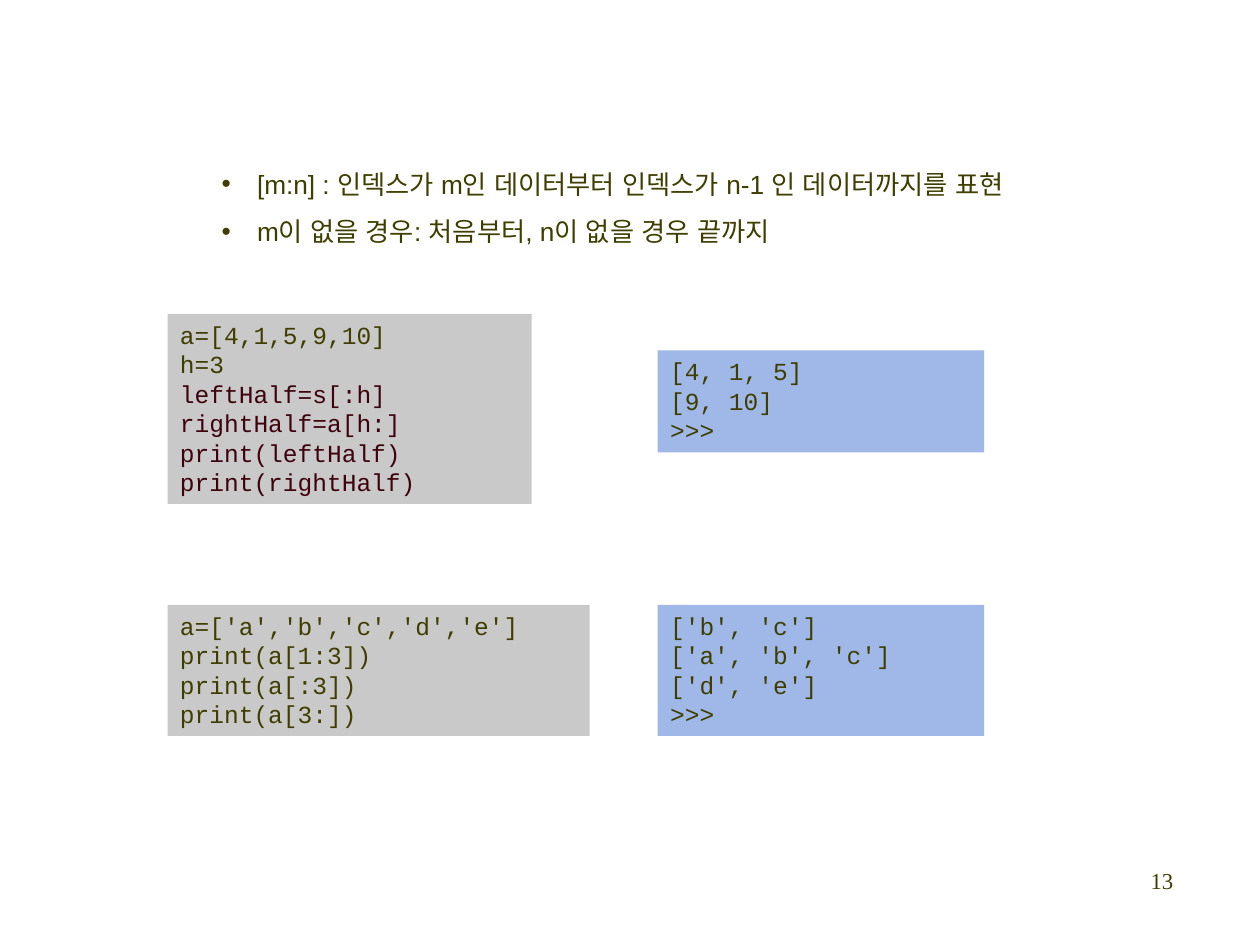
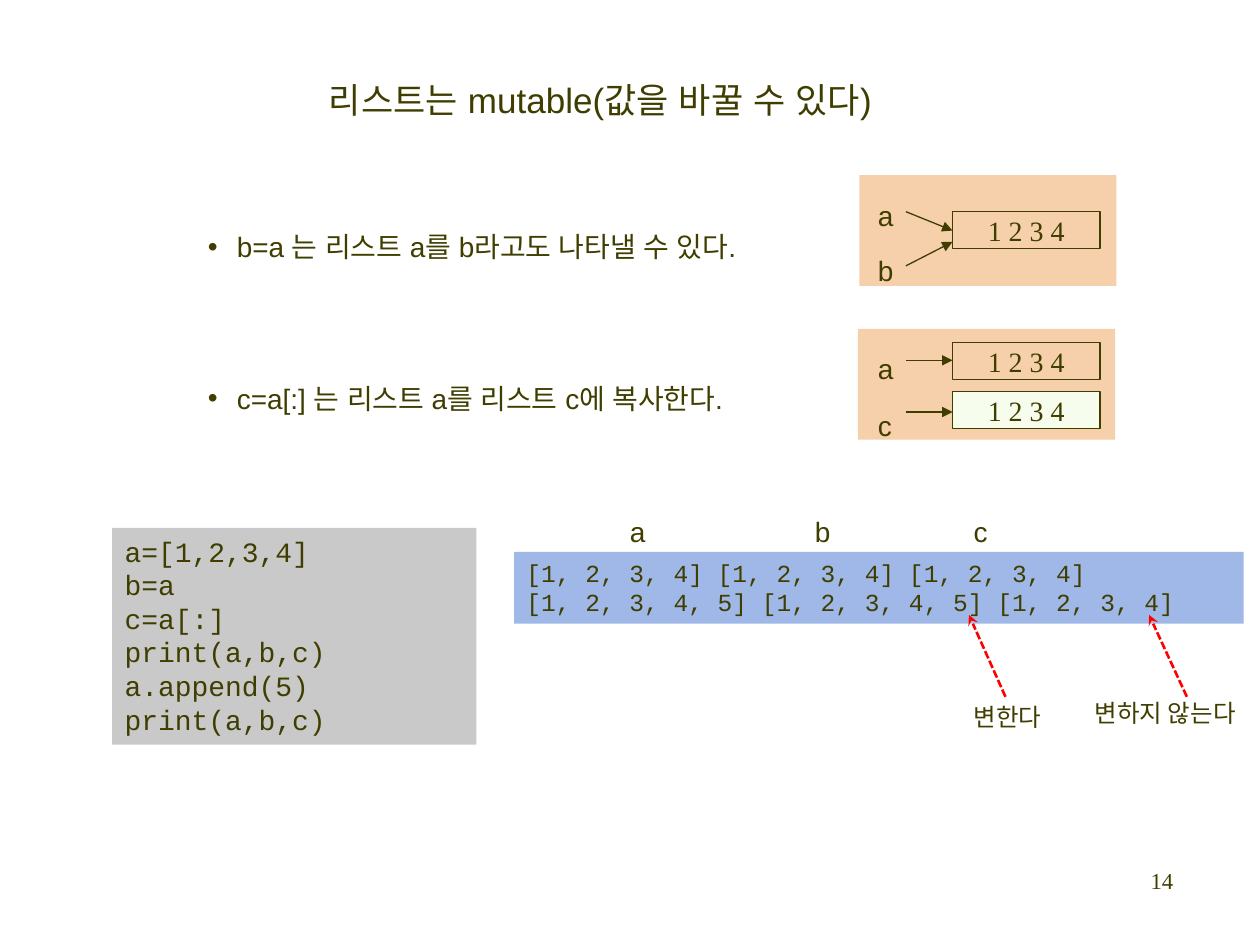
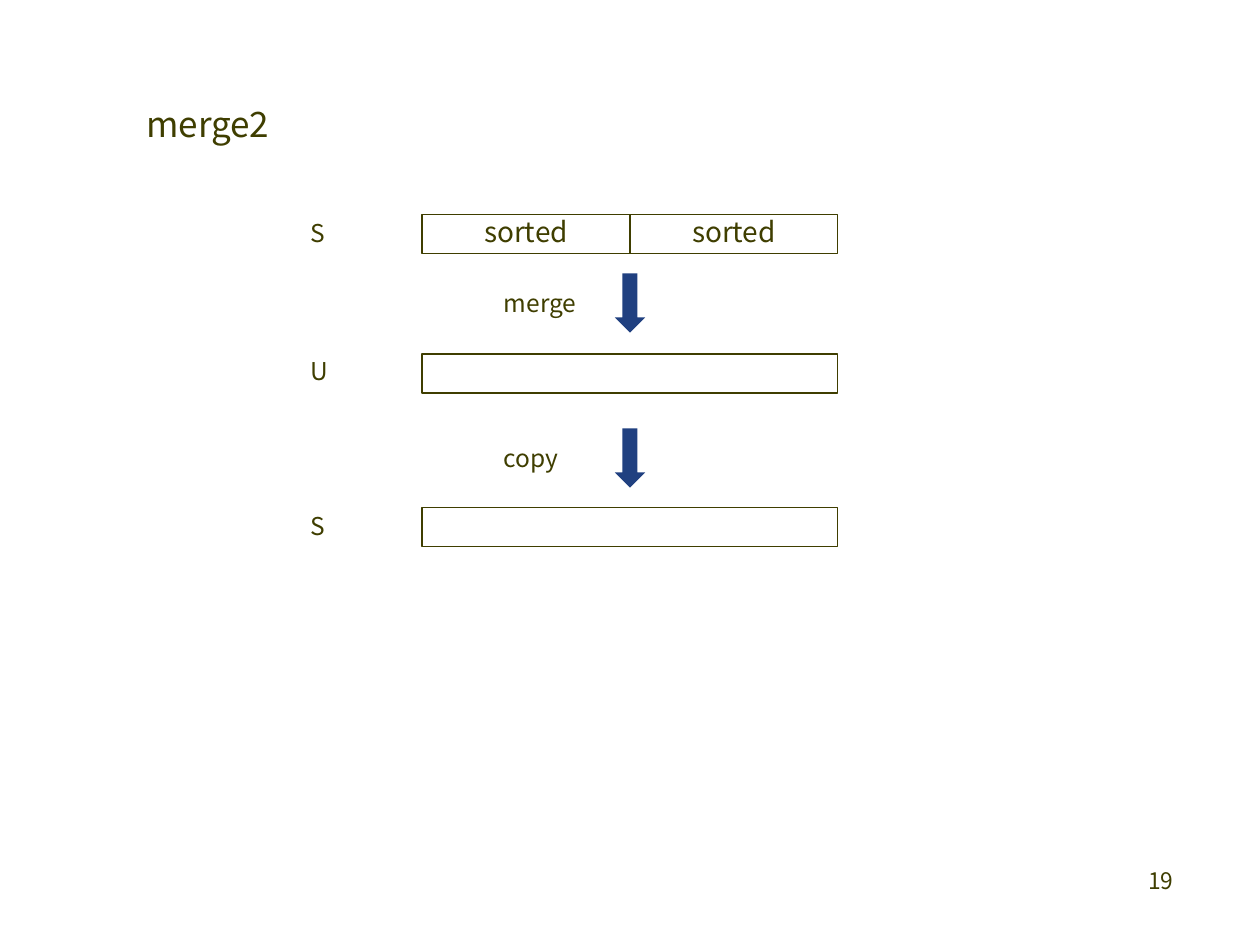
from dataclasses import dataclass
from typing import Optional

from lxml import etree
from pptx import Presentation
from pptx.dml.color import RGBColor
from pptx.enum import dml, shapes, text
from pptx.oxml.ns import qn
from pptx.util import Inches, Pt

INK = RGBColor(0x3F, 0x3E, 0x00)
MAROON = RGBColor(0x3E, 0x02, 0x0C)
GREY = RGBColor(0xC9, 0xC9, 0xC9)
BLUE = RGBColor(0x9F, 0xB8, 0xE7)
PEACH = RGBColor(0xF5, 0xD0, 0xAB)
MINT = RGBColor(0xF7, 0xFD, 0xEC)
NAVY = RGBColor(0x20, 0x40, 0x80)
RED = RGBColor(0xFF, 0x00, 0x00)

SANS, SERIF, MONO, KOREAN = "Arial", "Times New Roman", "Courier New", "Noto Sans CJK KR"

LEFT, CENTER, RIGHT = text.PP_ALIGN.LEFT, text.PP_ALIGN.CENTER, text.PP_ALIGN.RIGHT
RECTANGLE = shapes.MSO_SHAPE.RECTANGLE
DOWN_ARROW = shapes.MSO_SHAPE.DOWN_ARROW
TITLE_AND_BODY, TITLE_ONLY, BLANK = 1, 5, 6


@dataclass(frozen=True)
class Frame:
    left: float
    top: float
    width: float
    height: float

    def lengths(self) -> tuple:
        return tuple(Inches(n) for n in (self.left, self.top, self.width, self.height))


@dataclass(frozen=True)
class Style:
    font: str
    size: float
    align: text.PP_ALIGN = LEFT
    spacing: float = 1.0


@dataclass(frozen=True)
class Arrow:
    start: tuple
    end: tuple
    color: RGBColor = INK
    width: float = 0.75
    head: str = "triangle"
    dash: Optional[dml.MSO_LINE] = None


LABEL = Style(KOREAN, 14)
NAME = Style(SANS, 16, spacing=1.5)
CELL = Style(SERIF, 16, CENTER)
SORTED = Style(KOREAN, 16, CENTER, 0.9)
CODE = Style(MONO, 14)


def write(shape, lines: list[str], style: Style, wrap: bool = True) -> None:
    frame = shape.text_frame
    frame.text = "\n".join(lines)
    frame.word_wrap = wrap
    frame.auto_size = text.MSO_AUTO_SIZE.NONE if wrap else text.MSO_AUTO_SIZE.SHAPE_TO_FIT_TEXT
    frame.vertical_anchor = text.MSO_ANCHOR.TOP
    for para in frame.paragraphs:
        para.alignment = style.align
        para.line_spacing = style.spacing
        para.space_before = Pt(0)
        para.font.name = style.font
        para.font.size = Pt(style.size)
        para.font.color.rgb = INK
        latin = para.font._element.find(qn("a:latin"))
        east_asian = etree.Element(qn("a:ea"), typeface=style.font)
        latin.addnext(east_asian)


def place(shape, frame: Frame) -> None:
    shape.left, shape.top, shape.width, shape.height = frame.lengths()


def add_text(page, frame: Frame, words: str, style: Style, wrap: bool = False) -> None:
    write(page.shapes.add_textbox(*frame.lengths()), [words], style, wrap)


def add_box(page, frame: Frame, fill: Optional[RGBColor] = None,
            line: Optional[RGBColor] = None, kind=RECTANGLE):
    box = page.shapes.add_shape(kind, *frame.lengths())
    box.shadow.inherit = False
    if fill is None:
        box.fill.background()
    else:
        box.fill.solid()
        box.fill.fore_color.rgb = fill
    if line is None:
        box.line.fill.background()
    else:
        box.line.color.rgb = line
        box.line.width = Pt(0.75)
    return box


def add_code(page, frame: Frame, fill: RGBColor, lines: list[str], size: float = CODE.size):
    box = add_box(page, frame, fill)
    write(box, lines, Style(MONO, size))
    return box


def add_cell(page, frame: Frame, words: str, style: Style,
             fill: Optional[RGBColor] = None) -> None:
    box = add_box(page, frame, fill, INK)
    write(box, [words], style)
    box.text_frame.vertical_anchor = text.MSO_ANCHOR.MIDDLE


def add_arrow(page, arrow: Arrow) -> None:
    points = [Inches(n) for n in (*arrow.start, *arrow.end)]
    link = page.shapes.add_connector(shapes.MSO_CONNECTOR.STRAIGHT, *points)
    link.line.color.rgb = arrow.color
    link.line.width = Pt(arrow.width)
    if arrow.dash is not None:
        link.line.dash_style = arrow.dash
    outline = link.line._get_or_add_ln()
    etree.SubElement(outline, qn("a:tailEnd"), type=arrow.head)
    etree.SubElement(link.element.spPr, qn("a:effectLst"))


def fill_title(page, frame: Frame, words: str, style: Style) -> None:
    title = page.shapes.title
    place(title, frame)
    write(title, [words], style, wrap=False)


def fill_list(page, frame: Frame, items: list[str], size: float, indent: float,
              gap: float = 0) -> None:
    body = page.placeholders[1]
    place(body, frame)
    write(body, items, Style(SANS, size, spacing=1.5))
    for index, para in enumerate(body.text_frame.paragraphs):
        if index:
            para.space_before = Pt(gap)
        properties = para._p.get_or_add_pPr()
        properties.set("marL", str(Inches(indent)))
        properties.set("indent", str(-Inches(indent)))


def add_page(deck, layout: int, number: int, number_font: str = SERIF):
    page = deck.slides.add_slide(deck.slide_layouts[layout])
    add_text(page, Frame(7.33, 6.83, 2.08, 0.5), str(number),
             Style(number_font, 13, RIGHT), wrap=True)
    return page


def build_slicing(deck) -> None:
    page = add_page(deck, TITLE_AND_BODY, 13)
    title = page.shapes.title.element
    title.getparent().remove(title)
    halves = add_code(page, Frame(1.33, 2.49, 2.89, 1.51), GREY, [
        "a=[4,1,5,9,10]", "h=3", "leftHalf=s[:h]", "rightHalf=a[h:]",
        "print(leftHalf)", "print(rightHalf)"])
    for para in halves.text_frame.paragraphs[2:]:
        para.font.color.rgb = MAROON
    add_code(page, Frame(1.33, 4.8, 3.35, 1.04), GREY, [
        "a=['a','b','c','d','e']", "print(a[1:3])", "print(a[:3])", "print(a[3:])"])
    fill_list(page, Frame(1.66, 1.16, 6.85, 0.86), [
        "[m:n] : 인덱스가 m인 데이터부터 인덱스가 n-1 인 데이터까지를 표현",
        "m이 없을 경우: 처음부터, n이 없을 경우 끝까지"], 15, 0.28)
    add_code(page, Frame(5.22, 2.78, 2.59, 0.81), BLUE, ["[4, 1, 5]", "[9, 10]", ">>>"])
    add_code(page, Frame(5.22, 4.8, 2.59, 1.04), BLUE, [
        "['b', 'c']", "['a', 'b', 'c']", "['d', 'e']", ">>>"])


def build_mutable(deck) -> None:
    page = add_page(deck, TITLE_AND_BODY, 14)
    fill_title(page, Frame(2.51, 0.41, 4.78, 0.61), "리스트는 mutable(값을 바꿀 수 있다)",
               Style(SANS, 20, spacing=1.5))
    fill_list(page, Frame(1.55, 1.64, 4.71, 1.72), [
        "b=a 는 리스트 a를 b라고도 나타낼 수 있다.",
        "c=a[:] 는 리스트 a를 리스트 c에 복사한다."], 16, 0.23, gap=58)
    add_code(page, Frame(0.89, 4.19, 2.89, 1.72), GREY, [
        "a=[1,2,3,4]", "b=a", "c=a[:]", "print(a,b,c)", "a.append(5)", "print(a,b,c)"], 16)
    add_code(page, Frame(4.08, 4.38, 5.79, 0.57), BLUE, [
        "[1, 2, 3, 4] [1, 2, 3, 4] [1, 2, 3, 4]",
        "[1, 2, 3, 4, 5] [1, 2, 3, 4, 5] [1, 2, 3, 4]"])

    for left, top in ((6.82, 1.39), (6.81, 2.61)):
        add_box(page, Frame(left, top, 2.04, 0.88), PEACH)
    for top, fill in ((1.68, None), (2.72, None), (3.11, MINT)):
        add_cell(page, Frame(7.56, top, 1.17, 0.29), "1 2 3 4", CELL, fill)
    for name, left, top in (("a", 6.87, 1.39), ("b", 6.87, 1.83),
                            ("a", 6.87, 2.61), ("c", 6.87, 3.06),
                            ("a", 4.9, 3.9), ("b", 6.37, 3.9), ("c", 7.63, 3.9)):
        add_text(page, Frame(left, top, 0.33, 0.5), name, NAME)
    for start, end in ((1.68, 1.83), (2.11, 1.92), (2.86, 2.86), (3.27, 3.27)):
        add_arrow(page, Arrow((7.19, start), (7.56, end)))

    for start, end in ((7.98, 7.69), (9.42, 9.12)):
        add_arrow(page, Arrow((start, 5.53), (end, 4.88), RED, 1.5, "stealth",
                              dml.MSO_LINE.SQUARE_DOT))
    add_text(page, Frame(7.63, 5.52, 0.79, 0.34), "변한다", LABEL)
    add_text(page, Frame(8.59, 5.49, 1.44, 0.34), "변하지 않는다", LABEL)


def build_merge(deck) -> None:
    page = add_page(deck, TITLE_ONLY, 19, KOREAN)
    fill_title(page, Frame(1.06, 0.76, 1.19, 0.44), "merge2", Style(KOREAN, 20))
    array_left, half = 3.35, 1.65
    for index in range(2):
        add_cell(page, Frame(array_left + index * half, 1.7, half, 0.31), "sorted", SORTED)
    for top in (2.81, 4.03):
        add_box(page, Frame(array_left, top, 2 * half, 0.31), line=INK)
    for name, top in (("S", 1.68), ("U", 2.78), ("S", 4.01)):
        add_text(page, Frame(2.37, top, 0.33, 0.34), name, LABEL)
    for step, top, width in (("merge", 2.17, 0.78), ("copy", 3.4, 0.65)):
        add_box(page, Frame(4.88, top, 0.24, 0.47), NAVY, kind=DOWN_ARROW)
        add_text(page, Frame(3.9, top + 0.07, width, 0.34), step, LABEL)


def main() -> None:
    deck = Presentation()
    deck.slide_width, deck.slide_height = Inches(10), Inches(7.5)
    build_slicing(deck)
    build_mutable(deck)
    build_merge(deck)
    deck.save("out.pptx")


if __name__ == "__main__":
    main()
